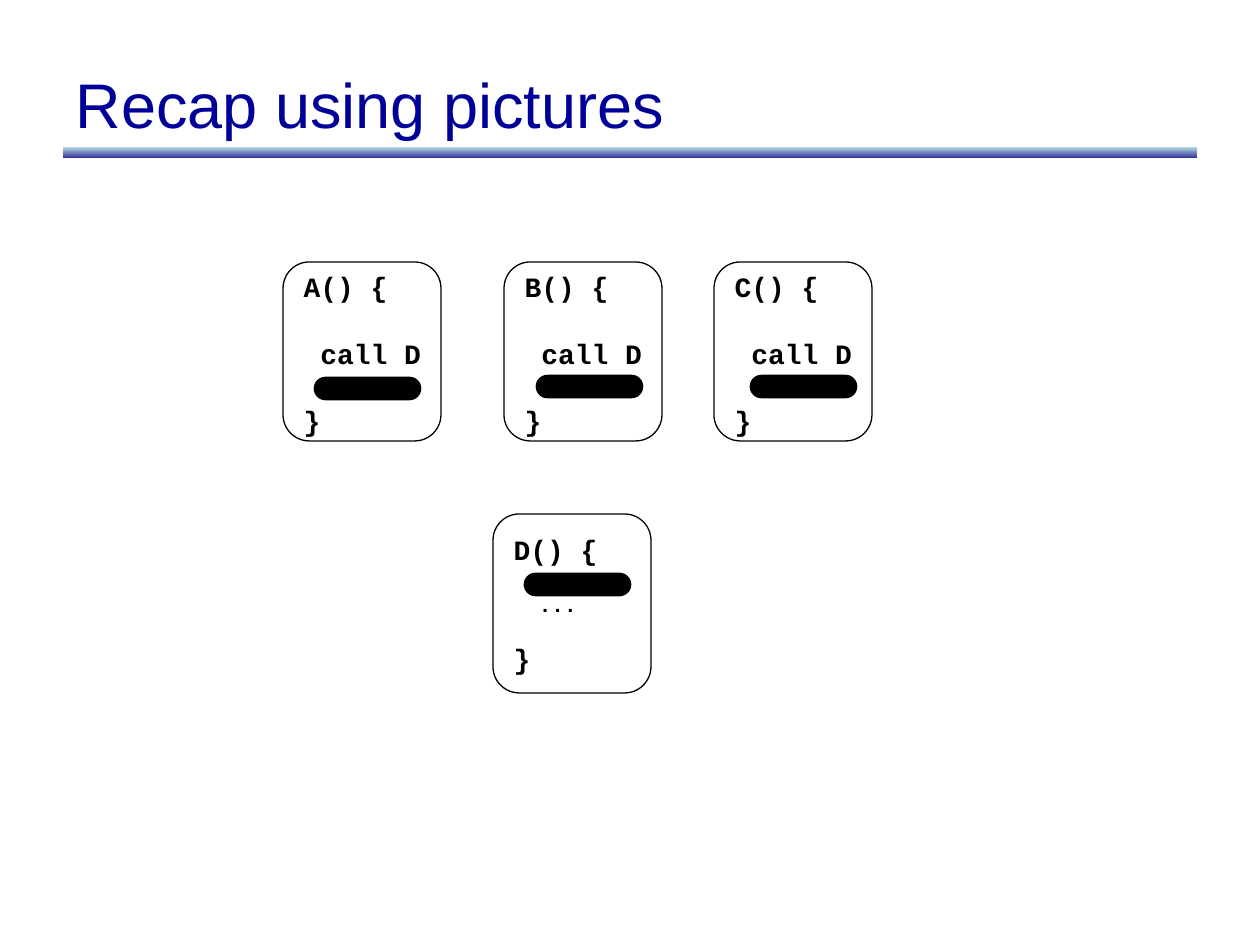
from dataclasses import dataclass

from pptx import Presentation
from pptx.dml.color import RGBColor
from pptx.enum.shapes import MSO_SHAPE as Shape
from pptx.enum.text import MSO_ANCHOR as Anchor, MSO_AUTO_SIZE as AutoSize, PP_ALIGN as Align
from pptx.shapes.autoshape import Shape as AutoShape
from pptx.slide import Slide
from pptx.util import Emu, Pt

EMU_PER_PX = 914400 / 126
BLACK = RGBColor(0x00, 0x00, 0x00)
NAVY = RGBColor(0x00, 0x00, 0x99)
PALE_TEAL = RGBColor(0xBB, 0xE0, 0xE3)
INDIGO = RGBColor(0x33, 0x33, 0x99)

BOX_WIDTH, BOX_HEIGHT = 158, 179
PILL_WIDTH, PILL_HEIGHT = 105, 21
CALLERS_TOP = 262


@dataclass(frozen=True)
class CodeLine:
    text: str
    size: int = 16
    space_before: float = 0


@dataclass(frozen=True)
class Function:
    left: int
    top: int
    text_inset: int
    lines: tuple[CodeLine, ...]
    pill_left: int
    pill_top: int


def caller(name: str, left: int, pill_left: int, pill_top: int) -> Function:
    lines = (
        CodeLine(f"{name}() {{"),
        CodeLine(" call D", space_before=19),
        CodeLine("}", space_before=19),
    )
    return Function(left, CALLERS_TOP, 0, lines, pill_left, pill_top)


FUNCTIONS = (
    caller("A", 283, 315, 378),
    caller("B", 504, 537, 376),
    caller("C", 714, 751, 376),
    Function(
        493, 514, 11,
        (
            CodeLine("D() {"),
            CodeLine("  ...", size=12, space_before=14.3),
            CodeLine("}", space_before=14.5),
        ),
        525, 574,
    ),
)


def px(value: int) -> Emu:
    return Emu(round(value * EMU_PER_PX))


def add_block(slide: Slide, kind: Shape, left: int, top: int, width: int, height: int) -> AutoShape:
    shape = slide.shapes.add_shape(kind, px(left), px(top), px(width), px(height))
    shape.shadow.inherit = False
    return shape


def draw_title(slide: Slide) -> None:
    title = slide.shapes.title
    title.left, title.top, title.width, title.height = px(63), px(38), px(1134), px(130)
    text_frame = title.text_frame
    text_frame.text = "Recap using pictures"
    text_frame.auto_size = AutoSize.NONE
    text_frame.vertical_anchor = Anchor.MIDDLE
    paragraph = text_frame.paragraphs[0]
    paragraph.alignment = Align.LEFT
    font = paragraph.runs[0].font
    font.name, font.size = "Arial", Pt(36)
    font.color.rgb = NAVY


def draw_rule(slide: Slide) -> None:
    rule = add_block(slide, Shape.RECTANGLE, 63, 147, 1134, 11)
    rule.line.fill.background()
    rule.fill.gradient()
    rule.fill.gradient_angle = 270
    for stop, color, position in zip(rule.fill.gradient_stops, (PALE_TEAL, INDIGO), (0, 1)):
        stop.color.rgb = color
        stop.position = position


def draw_function(slide: Slide, function: Function) -> None:
    box = add_block(slide, Shape.ROUNDED_RECTANGLE, function.left, function.top, BOX_WIDTH, BOX_HEIGHT)
    box.fill.background()
    box.line.color.rgb = BLACK
    box.line.width = Pt(0.75)

    text_frame = box.text_frame
    text_frame.word_wrap = True
    text_frame.vertical_anchor = Anchor.TOP
    text_frame.margin_left, text_frame.margin_right = px(13), px(0)
    text_frame.margin_top, text_frame.margin_bottom = px(function.text_inset), px(0)
    text_frame.text = "\n".join(line.text for line in function.lines)
    for paragraph, line in zip(text_frame.paragraphs, function.lines):
        paragraph.alignment = Align.LEFT
        if line.space_before:
            paragraph.space_before = Pt(line.space_before)
        font = paragraph.runs[0].font
        font.name, font.size, font.bold = "Courier New", Pt(line.size), True
        font.color.rgb = BLACK

    pill = add_block(
        slide, Shape.ROUNDED_RECTANGLE, function.pill_left, function.pill_top, PILL_WIDTH, PILL_HEIGHT
    )
    pill.adjustments[0] = 0.5
    pill.fill.solid()
    pill.fill.fore_color.rgb = BLACK
    pill.line.color.rgb = BLACK
    pill.line.width = Pt(1.5)


def main() -> None:
    presentation = Presentation()
    presentation.slide_width, presentation.slide_height = px(1260), px(945)
    slide = presentation.slides.add_slide(presentation.slide_layouts[5])
    draw_title(slide)
    draw_rule(slide)
    for function in FUNCTIONS:
        draw_function(slide, function)
    presentation.save("out.pptx")


if __name__ == "__main__":
    main()
